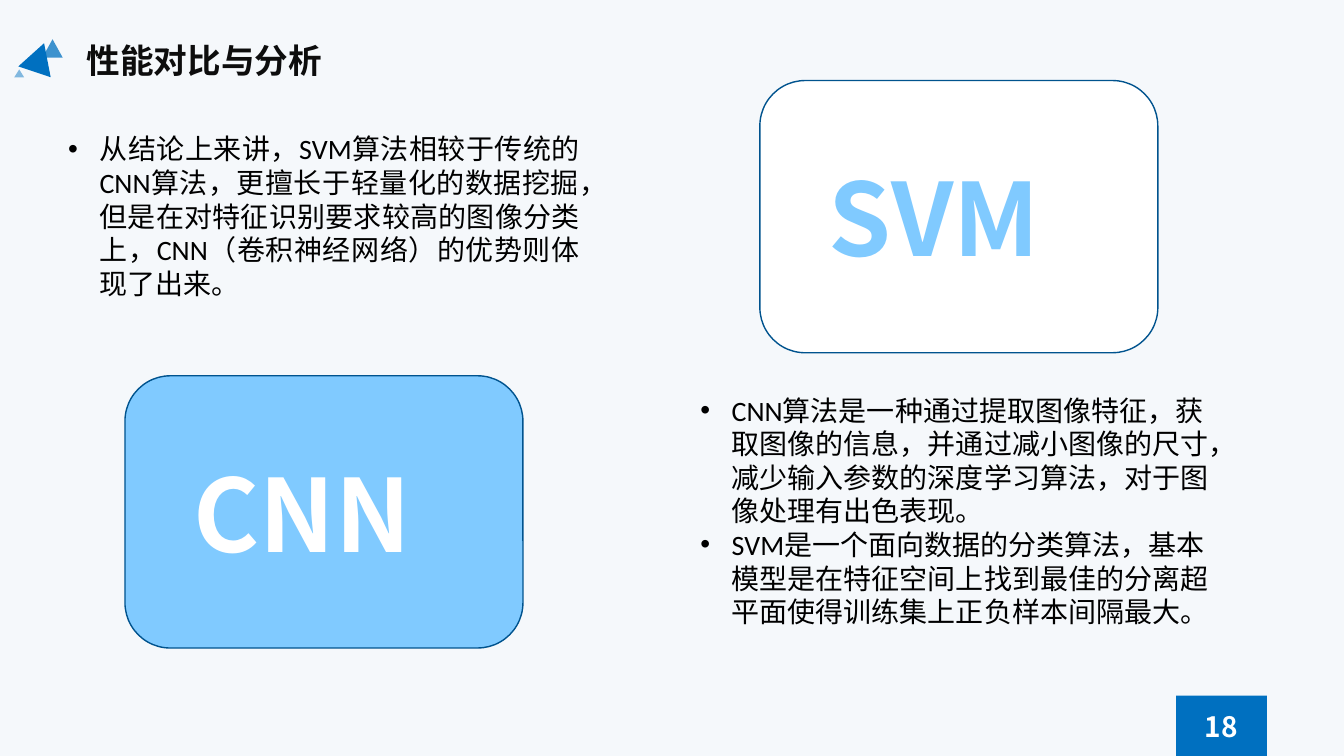
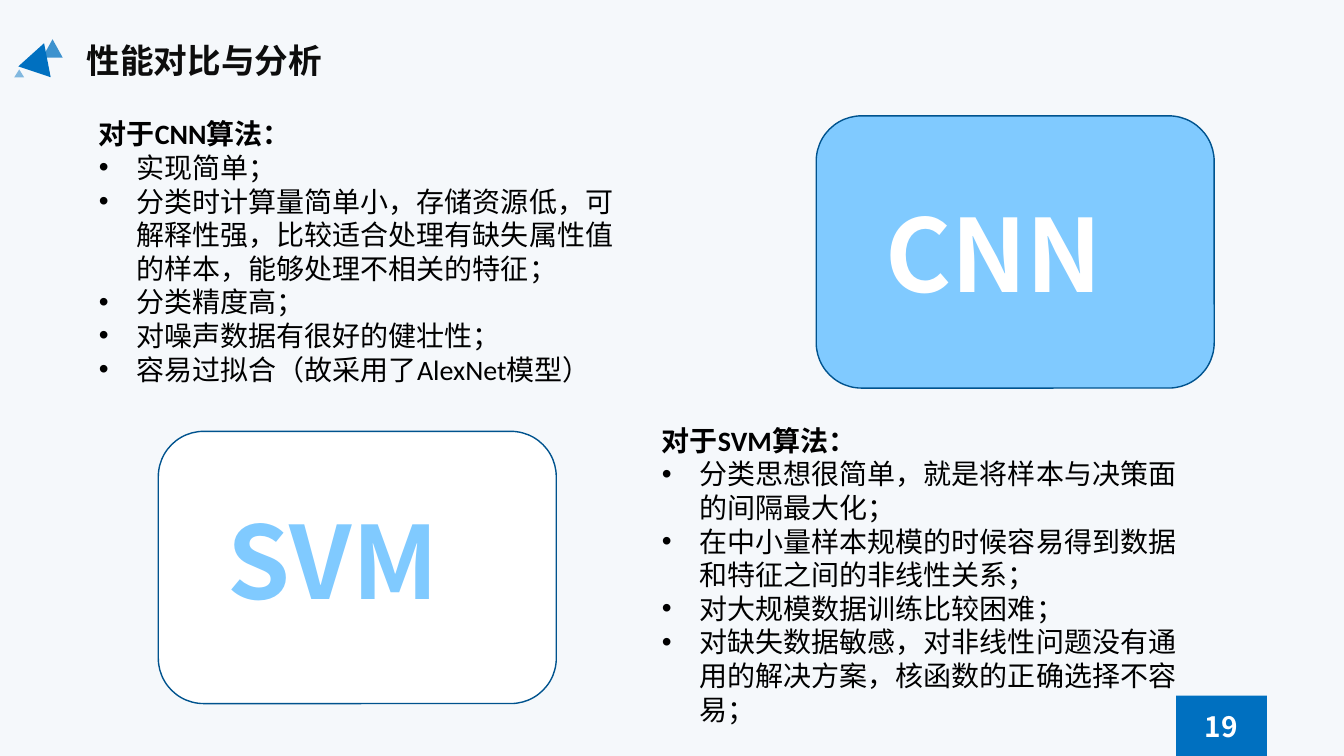
from dataclasses import dataclass

from lxml import etree
from pptx import Presentation
from pptx.dml.color import RGBColor
from pptx.enum import shapes as sh, text as tx
from pptx.oxml.ns import qn
from pptx.util import Cm, Pt

INK = {"back": "F5F8FB", "blue": "0070C0", "sky": "80CAFF", "edge": "00538E",
       "white": "FFFFFF", "black": "000000", "title": "0D0D0D"}
HEAD, BODY = "Noto Sans CJK SC", "Calibri"
TITLE = "性能对比与分析"
KIND = sh.MSO_SHAPE


@dataclass
class Mark:
    left: float
    top: float
    width: float
    height: float
    alpha: int = 100
    turn: float = 0


@dataclass
class Card:
    name: str
    left: float
    top: float
    lift: float = 0


@dataclass
class Block:
    left: float
    top: float
    width: float
    height: float
    items: list[str]
    head: str = ""
    indent: float = 0.95
    align: tx.PP_ALIGN = tx.PP_ALIGN.LEFT


@dataclass
class Page:
    number: int
    cards: list[Card]
    blocks: list[Block]


# Shared parts: triangle emblem and card colours (fill, lettering)
MARKS = [Mark(1.07, 0.99, 0.51, 0.46, alpha=75),
         Mark(0.56, 1.07, 0.86, 0.76, turn=18.5),
         Mark(0.36, 1.75, 0.25, 0.2, alpha=47)]
LOOKS = {"CNN": ("sky", "white"), "SVM": ("white", "sky")}

PAGES = [
    Page(18,
         [Card("CNN", 3.15, 9.47), Card("SVM", 19.15, 2.03)],
         [Block(1.47, 3.2, 13.39, 4.52, [
             "从结论上来讲，SVM算法相较于传统的CNN算法，更擅长于轻量化的数据挖掘，"
             "但是在对特征识别要求较高的图像分类上，CNN（卷积神经网络）的优势则体现了出来。"],
             indent=0.79, align=tx.PP_ALIGN.JUSTIFY),
          Block(17.4, 9.78, 13.54, 6.25, [
              "CNN算法是一种通过提取图像特征，获取图像的信息，并通过减小图像的尺寸，"
              "减少输入参数的深度学习算法，对于图像处理有出色表现。",
              "SVM是一个面向数据的分类算法，基本模型是在特征空间上找到最佳的分离超平面"
              "使得训练集上正负样本间隔最大。"], indent=0.79)]),
    Page(19,
         [Card("CNN", 20.57, 2.92), Card("SVM", 3.99, 10.87, lift=0.4)],
         [Block(2.24, 2.82, 13.54, 7.09, [
             "实现简单；",
             "分类时计算量简单小，存储资源低，可解释性强，比较适合处理有缺失属性值的样本，"
             "能够处理不相关的特征；",
             "分类精度高；",
             "对噪声数据有很好的健壮性；",
             "容易过拟合（故采用了AlexNet模型）"], head="对于CNN算法："),
          Block(16.43, 10.54, 13.54, 7.95, [
              "分类思想很简单，就是将样本与决策面的间隔最大化；",
              "在中小量样本规模的时候容易得到数据和特征之间的非线性关系；",
              "对大规模数据训练比较困难；",
              "对缺失数据敏感，对非线性问题没有通用的解决方案，核函数的正确选择不容易；"],
              head="对于SVM算法：")]),
]


def tint(name: str) -> RGBColor:
    return RGBColor.from_string(INK[name])


def style(para, face: str, size: float, color: str, bold: bool = False) -> None:
    font = para.font
    font.name, font.size, font.bold = face, Pt(size), bold
    font.color.rgb = tint(color)
    props = para._p.pPr.find(qn("a:defRPr"))
    etree.SubElement(props, qn("a:ea")).set("typeface", face)


def shape(slide, kind, left: float, top: float, width: float, height: float,
          fill: str, line: str = ""):
    item = slide.shapes.add_shape(kind, Cm(left), Cm(top), Cm(width), Cm(height))
    item.shadow.inherit = False
    item.fill.solid()
    item.fill.fore_color.rgb = tint(fill)
    if line:
        item.line.color.rgb = tint(line)
        item.line.width = Pt(1)
    else:
        item.line.fill.background()
    return item


def label(item, text: str, size: float, color: str, align) -> None:
    frame = item.text_frame
    frame.word_wrap = True
    frame.auto_size = tx.MSO_AUTO_SIZE.NONE
    frame.vertical_anchor = tx.MSO_ANCHOR.MIDDLE
    para = frame.paragraphs[0]
    para.text, para.alignment = text, align
    style(para, HEAD, size, color, bold=True)


def draw_mark(slide, mark: Mark) -> None:
    item = shape(slide, KIND.ISOSCELES_TRIANGLE, mark.left, mark.top,
                 mark.width, mark.height, "blue")
    item.rotation = mark.turn
    if mark.alpha < 100:
        color = item._element.spPr.find(qn("a:solidFill"))[0]
        etree.SubElement(color, qn("a:alpha")).set("val", str(mark.alpha * 1000))


def draw_card(slide, card: Card) -> None:
    fill, color = LOOKS[card.name]
    item = shape(slide, KIND.ROUNDED_RECTANGLE, card.left, card.top,
                 10.03, 6.86, fill, "edge")
    label(item, card.name, 72, color, tx.PP_ALIGN.LEFT)
    # Lettering starts at a fixed inset inside the rounded corners
    item.text_frame.margin_left = Cm(1.4)
    item.text_frame.margin_bottom = Cm(0.13 + card.lift)


def bullet(para, indent: float) -> None:
    props = para._p.get_or_add_pPr()
    props.set("marL", str(Cm(indent)))
    props.set("indent", str(-Cm(indent)))
    etree.SubElement(props, qn("a:buFont")).set("typeface", "Arial")
    etree.SubElement(props, qn("a:buChar")).set("char", "•")


def draw_block(slide, block: Block) -> None:
    box = slide.shapes.add_textbox(Cm(block.left), Cm(block.top),
                                   Cm(block.width), Cm(block.height))
    frame = box.text_frame
    frame.word_wrap = True
    lines = [block.head] * bool(block.head) + block.items
    for i, line in enumerate(lines):
        para = frame.add_paragraph() if i else frame.paragraphs[0]
        para.text, para.alignment = line, block.align
        if line != block.head:
            bullet(para, block.indent)
        style(para, BODY, 20, "black", bold=line == block.head)


def draw_page(deck, page: Page) -> None:
    slide = deck.slides.add_slide(deck.slide_layouts[5])
    # Title and emblem
    title = slide.shapes.title
    title.left, title.top, title.width, title.height = map(Cm, (1.93, 0.89, 8.38, 1.27))
    label(title, TITLE, 24, "title", tx.PP_ALIGN.LEFT)
    for mark in MARKS:
        draw_mark(slide, mark)
    # Page number
    tab = shape(slide, KIND.RECTANGLE, 29.64, 17.53, 2.29, 1.52, "blue")
    label(tab, str(page.number), 20, "white", tx.PP_ALIGN.CENTER)
    # Content
    for block in page.blocks:
        draw_block(slide, block)
    for card in page.cards:
        draw_card(slide, card)


def main() -> None:
    deck = Presentation()
    deck.slide_width, deck.slide_height = Cm(33.87), Cm(19.05)
    back = deck.slide_master.background.fill
    back.solid()
    back.fore_color.rgb = tint("back")
    for page in PAGES:
        draw_page(deck, page)
    deck.save("out.pptx")


if __name__ == "__main__":
    main()
